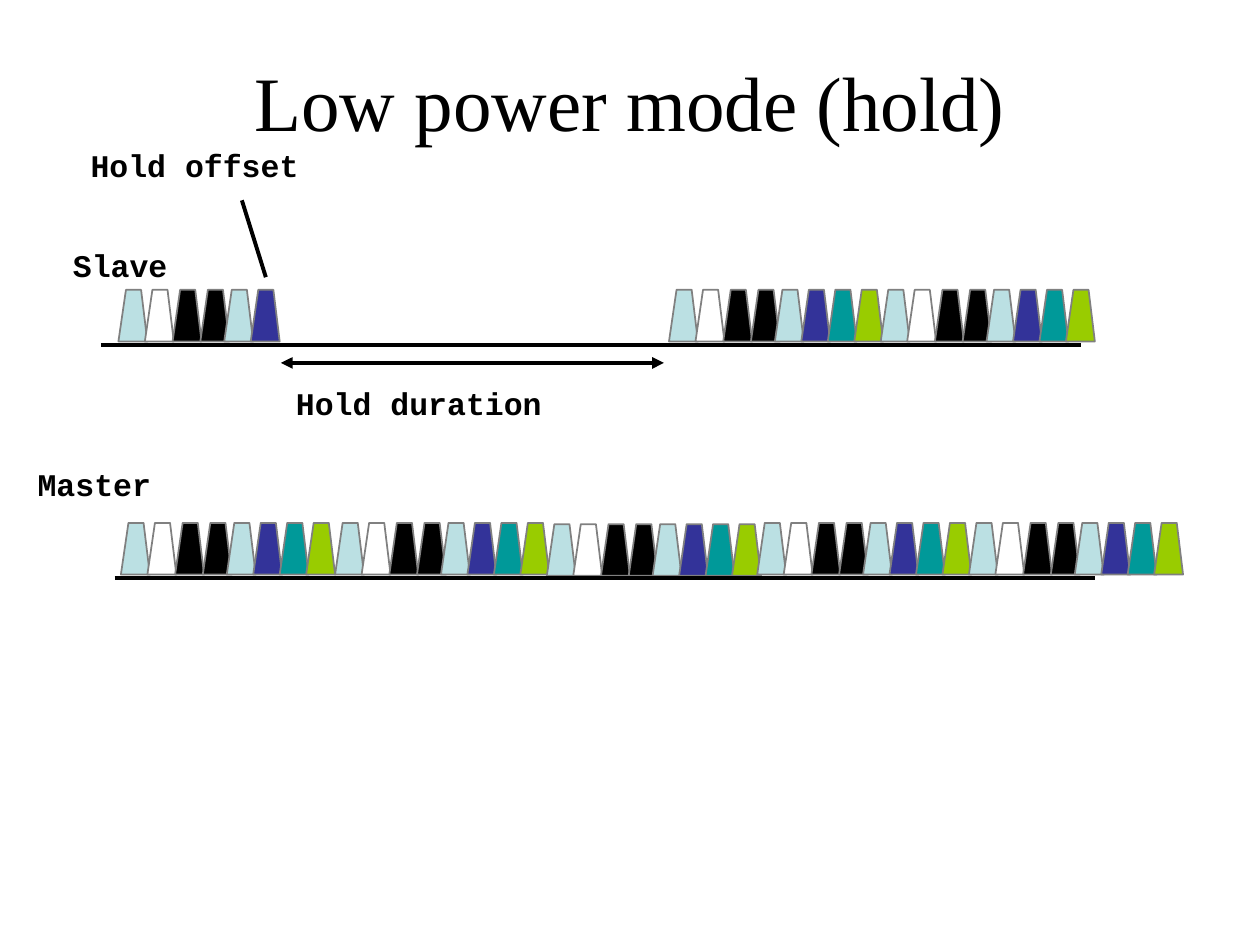
from lxml.etree import SubElement
from pptx import Presentation
from pptx.dml.color import RGBColor
from pptx.enum.shapes import MSO_CONNECTOR
from pptx.enum.text import MSO_ANCHOR, MSO_AUTO_SIZE, PP_ALIGN
from pptx.oxml.ns import qn
from pptx.util import Inches, Pt

COLORS = {
    "black": "000000",
    "white": "FFFFFF",
    "pale": "BBE0E3",
    "blue": "333399",
    "teal": "009999",
    "lime": "99CC00",
    "gray": "808080",
}
SLOTS = [
    (0, "pale"), (0.21, "white"), (0.43, "black"), (0.65, "black"),
    (0.84, "pale"), (1.05, "blue"), (1.26, "teal"), (1.47, "lime"),
]


def color(name):
    return RGBColor.from_string(COLORS[name])


class Board:
    def __init__(self, slide):
        self.slide = slide
        self.mono = "Courier New"
        self.serif = "Times New Roman"

    def text(self, words, left, top, width, height, font, size, bold):
        box = self.slide.shapes.add_textbox(
            Inches(left), Inches(top), Inches(width), Inches(height))
        frame = box.text_frame
        frame.text = words
        run = frame.paragraphs[0].runs[0]
        run.font.name = font
        run.font.size = Pt(size)
        run.font.bold = bold
        run.font.color.rgb = color("black")
        return frame

    def title(self, words):
        frame = self.text(words, 0.5, 0.17, 9, 1.25, self.serif, 44, False)
        frame.word_wrap = True
        frame.vertical_anchor = MSO_ANCHOR.MIDDLE
        frame.paragraphs[0].alignment = PP_ALIGN.CENTER

    def label(self, words, left, top, width):
        frame = self.text(words, left, top, width, 0.4, self.mono, 18, True)
        frame.word_wrap = False
        frame.auto_size = MSO_AUTO_SIZE.SHAPE_TO_FIT_TEXT

    def line(self, x1, y1, x2, y2, arrows=False):
        rule = self.slide.shapes.add_connector(
            MSO_CONNECTOR.STRAIGHT,
            Inches(x1), Inches(y1), Inches(x2), Inches(y2))
        rule.line.color.rgb = color("black")
        rule.line.width = Pt(2.25)
        props = rule._element.spPr
        if arrows:
            for end in ("a:headEnd", "a:tailEnd"):
                SubElement(props.find(qn("a:ln")), qn(end), type="triangle")
        SubElement(props, qn("a:effectLst"))

    def packet(self, shapes, left, top, fill):
        points = [(0, 0.41), (0.06, 0), (0.18, 0), (0.23, 0.41)]
        spots = [(Inches(left + x), Inches(top + y)) for x, y in points]
        pen = shapes.build_freeform(*spots[0])
        pen.add_line_segments(spots[1:], close=True)
        shape = pen.convert_to_shape()
        shape.shadow.inherit = False
        shape.fill.solid()
        shape.fill.fore_color.rgb = color(fill)
        shape.line.color.rgb = color("gray")
        shape.line.width = Pt(1)

    def burst(self, left, top, count=len(SLOTS)):
        group = self.slide.shapes.add_group_shape()
        for shift, fill in SLOTS[:count]:
            self.packet(group.shapes, left + shift, top, fill)


def main():
    deck = Presentation()
    deck.slide_width = Inches(10)
    deck.slide_height = Inches(7.5)
    board = Board(deck.slides.add_slide(deck.slide_layouts[6]))

    board.title("Low power mode (hold)")
    board.label("Slave", 0.48, 1.9, 0.95)
    board.label("Hold duration", 2.25, 3, 2.15)
    board.line(2.23, 2.88, 5.27, 2.88, arrows=True)
    board.label("Hold offset", 0.62, 1.11, 1.85)
    board.line(1.92, 1.59, 2.11, 2.2)
    board.label("Master", 0.2, 3.64, 1.1)

    for left, top in [(0.96, 4.15), (2.66, 4.15), (4.34, 4.16), (6.01, 4.15)]:
        board.burst(left, top)
    board.line(0.91, 4.59, 8.69, 4.59)
    board.burst(7.69, 4.15)

    board.burst(0.94, 2.3, count=6)
    board.burst(5.31, 2.3)
    board.line(0.8, 2.74, 8.58, 2.74)
    board.burst(6.99, 2.3)

    deck.save("out.pptx")


if __name__ == "__main__":
    main()
